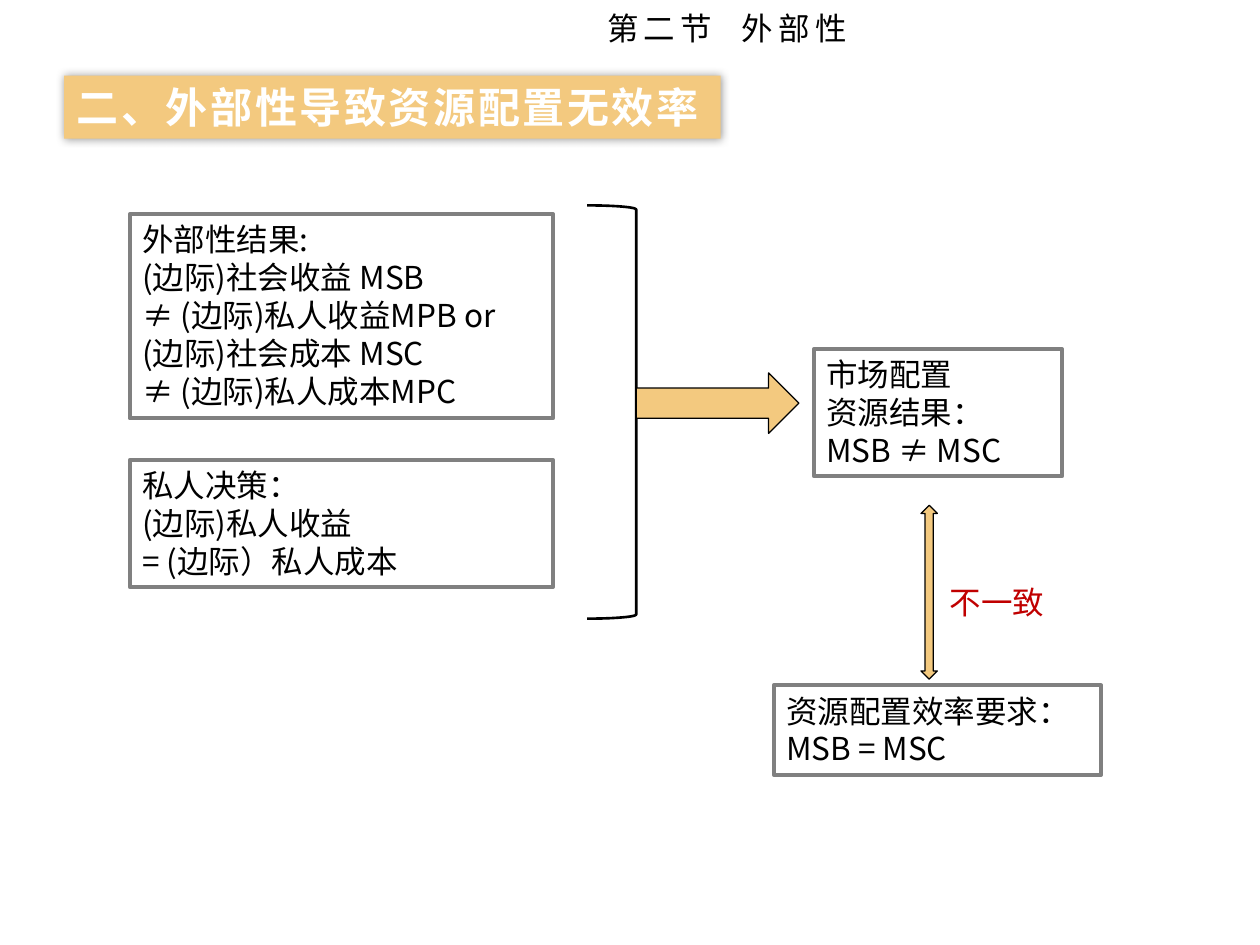
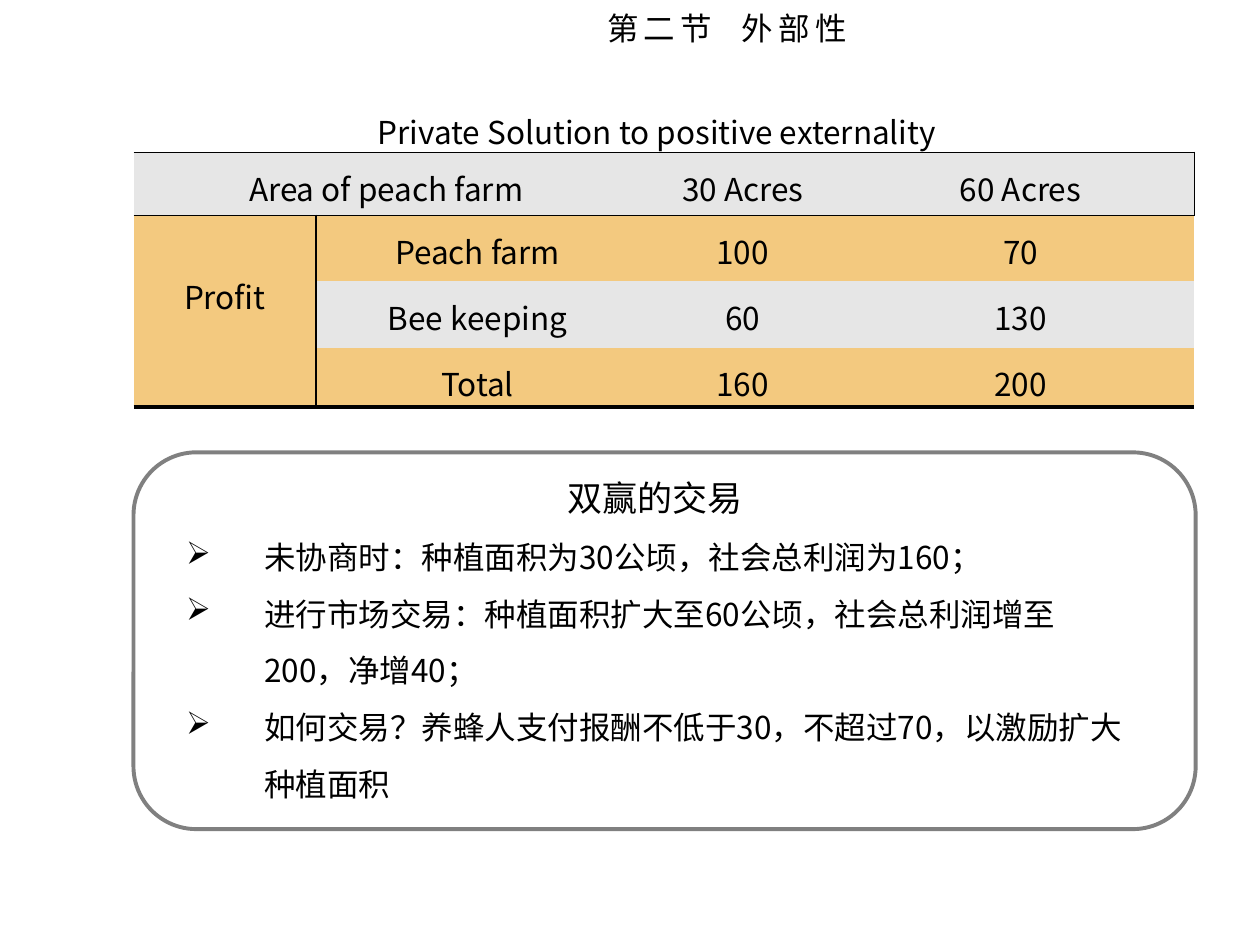
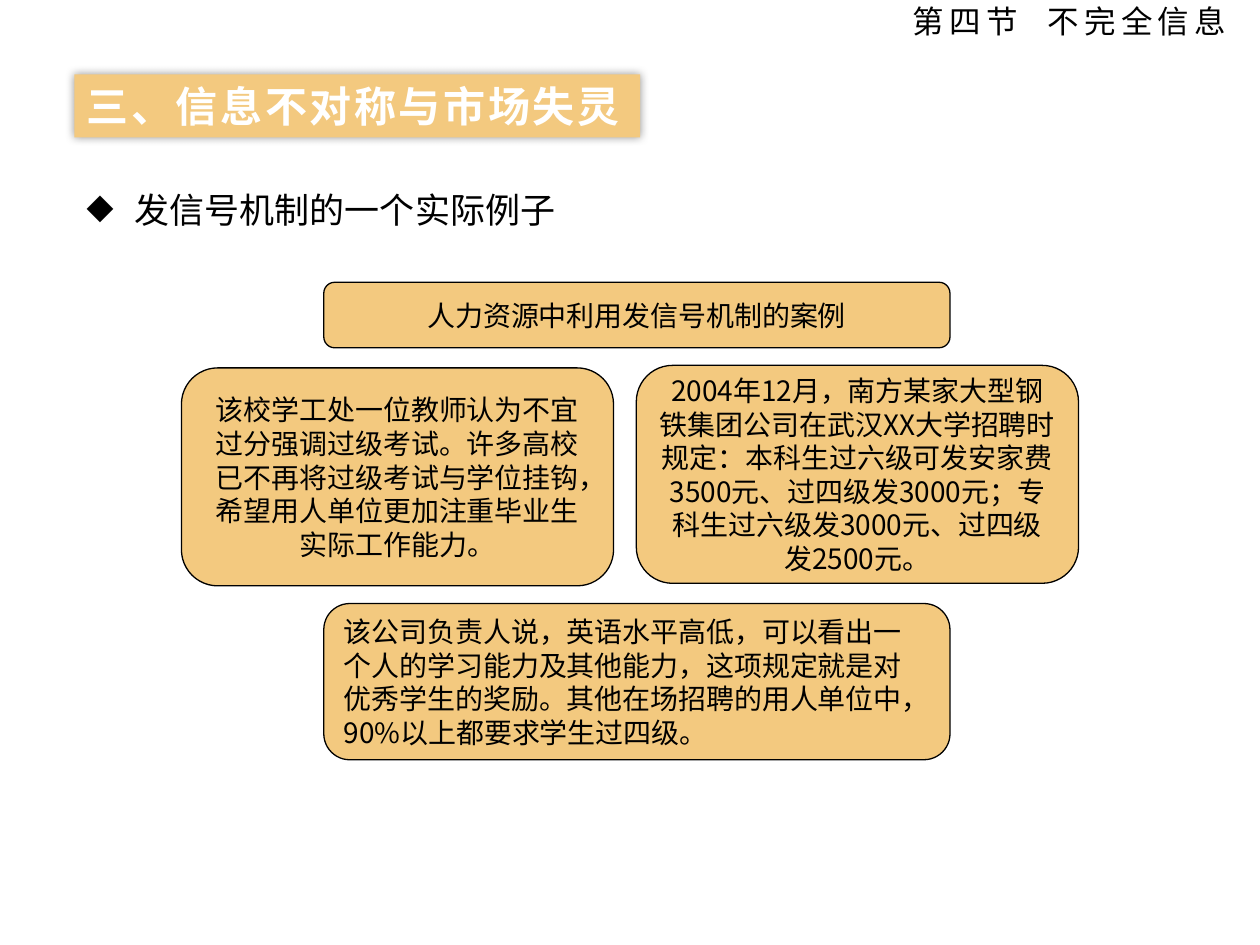
from dataclasses import dataclass
from typing import Optional

from lxml import etree
from pptx import Presentation
from pptx import util as u
from pptx.dml.color import RGBColor
from pptx.enum import shapes, text
from pptx.oxml.ns import qn

# Shared look
FONT = "Noto Sans CJK SC"
BLACK = RGBColor(0x00, 0x00, 0x00)
WHITE = RGBColor(0xFF, 0xFF, 0xFF)
GOLD = RGBColor(0xF3, 0xC9, 0x7F)
GREY = RGBColor(0x80, 0x80, 0x80)
PALE = RGBColor(0xE6, 0xE6, 0xE6)
RED = RGBColor(0xC0, 0x00, 0x00)
KIND = shapes.MSO_SHAPE
ALIGN = text.PP_ALIGN
ANCHOR = text.MSO_ANCHOR

# The slide is a grid of 100 columns by 75 rows
COLS, ROWS = 100, 75
UNIT = u.Inches(0.1)


def grid(count: float) -> int:
    return round(count * UNIT)


@dataclass(frozen=True)
class Area:
    col: float
    row: float
    wide: float
    tall: float

    def spans(self) -> list[int]:
        return [grid(n) for n in (self.col, self.row, self.wide, self.tall)]


@dataclass(frozen=True)
class Type:
    size: float = 18
    color: RGBColor = BLACK
    bold: bool = False
    space: float = 0
    align: ALIGN = ALIGN.LEFT


@dataclass(frozen=True)
class Paint:
    fill: Optional[RGBColor] = None
    line: Optional[RGBColor] = BLACK
    width: float = 0.75


@dataclass(frozen=True)
class Block:
    area: Area
    words: str = ""
    kind: KIND = KIND.RECTANGLE
    paint: Paint = Paint(GOLD)
    style: Type = Type()
    anchor: ANCHOR = ANCHOR.MIDDLE


BODY = Type()
FRAME = Paint(line=GREY, width=2.25)
BAND = Type(24, WHITE, bold=True, space=1.5)
HEAD = Type(space=3)


# Text helpers
def dress(run, style: Type) -> None:
    font = run.font
    font.size, font.bold, font.name = u.Pt(style.size), style.bold, FONT
    font.color.rgb = style.color
    props = run._r.get_or_add_rPr()
    etree.SubElement(props, qn("a:ea"), typeface=FONT)
    if style.space:
        props.set("spc", str(round(style.space * 100)))


def write(frame, words: str, style: Type) -> None:
    frame.text = words
    for para in frame.paragraphs:
        para.alignment = style.align
        for run in para.runs:
            dress(run, style)


def bullet(para, mark: str, hang: float) -> None:
    props = para._p.get_or_add_pPr()
    props.set("marL", str(grid(hang)))
    props.set("indent", str(-grid(hang)))
    etree.SubElement(props, qn("a:buChar"), char=mark)


def label(slide, area: Area, words: str, style: Type):
    frame = slide.shapes.add_textbox(*area.spans()).text_frame
    frame.word_wrap = True
    write(frame, words, style)
    return frame


# Shape helpers
def draw(slide, block: Block):
    shape = slide.shapes.add_shape(block.kind, *block.area.spans())
    shape.shadow.inherit = False
    paint = block.paint
    if paint.fill is None:
        shape.fill.background()
    else:
        shape.fill.solid()
        shape.fill.fore_color.rgb = paint.fill
    if paint.line is None:
        shape.line.fill.background()
    else:
        shape.line.color.rgb = paint.line
        shape.line.width = u.Pt(paint.width)
    if block.words:
        frame = shape.text_frame
        frame.word_wrap = True
        frame.vertical_anchor = block.anchor
        write(frame, block.words, block.style)
    return shape


def band(slide, area: Area, words: str) -> None:
    shape = draw(slide, Block(area, words, paint=Paint(GOLD, None),
                              style=BAND, anchor=ANCHOR.TOP))
    shape.text_frame.word_wrap = False
    glow = shape._element.spPr.find(qn("a:effectLst"))
    shade = etree.SubElement(glow, qn("a:outerShdw"),
                             blurRad=str(u.Pt(5)), dist="0", dir="0")
    tint = etree.SubElement(shade, qn("a:srgbClr"), val=str(BLACK))
    etree.SubElement(tint, qn("a:alpha"), val="40000")


def header(slide, area: Area, part: str, topic: str, align: ALIGN) -> None:
    frame = label(slide, area, part, HEAD)
    frame.vertical_anchor = ANCHOR.MIDDLE
    para = frame.paragraphs[0]
    para.alignment = align
    for words, style in ((" ", Type(space=10)), (topic, HEAD)):
        run = para.add_run()
        run.text = words
        dress(run, style)


def section(slide) -> None:
    header(slide, Area(47.2, 1, 46, 2.4), "第二节", "外部性", ALIGN.LEFT)


# Slide 1: why the market outcome is not efficient
def cause(slide) -> None:
    notes = (
        (Area(10.3, 17, 33.6, 16.2),
         "外部性结果:\n(边际)社会收益 MSB\n≠ (边际)私人收益MPB or\n"
         "(边际)社会成本 MSC\n≠ (边际)私人成本MPC"),
        (Area(10.3, 36.5, 33.6, 10.1),
         "私人决策：\n(边际)私人收益\n= (边际）私人成本"),
        (Area(64.6, 27.7, 19.7, 10.1), "市场配置\n资源结果：\nMSB ≠ MSC"),
        (Area(61.4, 54.4, 26, 7.1), "资源配置效率要求：MSB = MSC"),
    )
    for area, words in notes:
        draw(slide, Block(area, words, paint=FRAME, anchor=ANCHOR.TOP))

    # Bracket and arrows
    draw(slide, Block(Area(46.6, 16.3, 3.9, 32.8), kind=KIND.RIGHT_BRACKET,
                      paint=Paint(width=1.5)))
    draw(slide, Block(Area(50.5, 29.6, 12.9, 4.8), kind=KIND.RIGHT_ARROW))
    draw(slide, Block(Area(73.1, 40.1, 1.3, 13.8), kind=KIND.UP_DOWN_ARROW))
    label(slide, Area(74.4, 45.8, 21.3, 4), "不一致", Type(color=RED))

    band(slide, Area(5.1, 6, 52.1, 5), "二、外部性导致资源配置无效率")
    section(slide)


# Slide 2: profit table and the trade
WIDTHS = (14.5, 25.6, 16.5, 27.6)
HEIGHTS = (3.5, 5, 5.2, 5.3, 4.7)
PROFITS = (
    ("Private Solution to positive externality", "", "", ""),
    ("Area of peach farm", "", "30 Acres", "60 Acres"),
    ("Profit", "Peach farm", "100", "70"),
    ("", "Bee keeping", "60", "130"),
    ("", "Total", "160", "200"),
)
THIN, THICK = 1, 2.25


def edges(row: int, col: int) -> dict[str, float]:
    last = row == 4 or (row, col) == (2, 0)
    return {
        "L": THIN if row > 1 and col == 1 else 0,
        "R": THIN if (row > 1 and col == 0) or (row, col) == (1, 3) else 0,
        "T": THIN if row in (1, 2) else 0,
        "B": THICK if last else THIN if row < 2 else 0,
    }


def rule(cell, side: str, width: float) -> None:
    props = cell._tc.get_or_add_tcPr()
    line = etree.SubElement(props, qn(f"a:ln{side}"), w=str(u.Pt(width)))
    if width:
        fill = etree.SubElement(line, qn("a:solidFill"))
        etree.SubElement(fill, qn("a:srgbClr"), val=str(BLACK))
    else:
        etree.SubElement(line, qn("a:noFill"))


def shade(row: int, col: int) -> RGBColor:
    if row == 0:
        return WHITE
    return GOLD if row % 2 == 0 or (row > 1 and col == 0) else PALE


def profit(slide) -> None:
    area = Area(10.6, 7.6, sum(WIDTHS), sum(HEIGHTS))
    table = slide.shapes.add_table(len(HEIGHTS), len(WIDTHS),
                                   *area.spans()).table
    table.first_row = table.horz_banding = False
    for col, wide in zip(table.columns, WIDTHS):
        col.width = grid(wide)
    for row, tall in zip(table.rows, HEIGHTS):
        row.height = grid(tall)
    for start, end in (((0, 0), (0, 3)), ((1, 0), (1, 1)), ((2, 0), (4, 0))):
        table.cell(*start).merge(table.cell(*end))

    for r, line in enumerate(PROFITS):
        for c, words in enumerate(line):
            cell = table.cell(r, c)
            for side, width in edges(r, c).items():
                rule(cell, side, width)
            cell.fill.solid()
            cell.fill.fore_color.rgb = shade(r, c)
            if words:
                cell.margin_top = grid(1)
                write(cell.text_frame, words, Type(align=ALIGN.CENTER))
    table.cell(0, 0).margin_right = grid(2.1)
    table.cell(2, 0).margin_top = grid(4.6)


def trade(slide) -> None:
    draw(slide, Block(Area(10.6, 35.9, 84.3, 29.9),
                      kind=KIND.ROUNDED_RECTANGLE, paint=FRAME))
    profit(slide)
    frame = label(
        slide, Area(13.8, 36.7, 76.4, 27.3),
        "双赢的交易\n"
        "未协商时：种植面积为30公顷，社会总利润为160；\n"
        "进行市场交易：种植面积扩大至60公顷，社会总利润增至200，净增40；\n"
        "如何交易？养蜂人支付报酬不低于30，不超过70，以激励扩大种植面积",
        BODY)
    title, *points = frame.paragraphs
    title.alignment = ALIGN.CENTER
    title.line_spacing = u.Pt(28.8)
    title.runs[0].font.size = u.Pt(20)
    for point in points:
        bullet(point, "➢", 6.2)
        point.line_spacing = 1.5
    section(slide)


# Slide 3: a signalling case
def signal(slide) -> None:
    band(slide, Area(5.9, 5.9, 44.9, 5), "三、信息不对称与市场失灵")
    cases = (
        (Area(25.7, 22.4, 49.7, 5.2), ALIGN.CENTER,
         "人力资源中利用发信号机制的案例"),
        (Area(14.4, 29.2, 34.3, 17.3), ALIGN.CENTER,
         "该校学工处一位教师认为不宜过分强调过级考试。许多高校已不再将过级"
         "考试与学位挂钩，希望用人单位更加注重毕业生实际工作能力。"),
        (Area(50.5, 29, 35.1, 17.3), ALIGN.CENTER,
         "2004年12月，南方某家大型钢铁集团公司在武汉XX大学招聘时规定："
         "本科生过六级可发安家费3500元、过四级发3000元；"
         "专科生过六级发3000元、过四级发2500元。"),
        (Area(25.7, 47.9, 49.7, 12.4), ALIGN.LEFT,
         "该公司负责人说，英语水平高低，可以看出一个人的学习能力及其他能力，"
         "这项规定就是对优秀学生的奖励。其他在场招聘的用人单位中，"
         "90%以上都要求学生过四级。"),
    )
    for area, align, words in cases:
        draw(slide, Block(area, words, KIND.ROUNDED_RECTANGLE,
                          style=Type(16, align=align)))
    frame = label(slide, Area(5.9, 14.5, 94, 7.9),
                  "发信号机制的一个实际例子", Type(20))
    bullet(frame.paragraphs[0], "◆", 3.8)
    header(slide, Area(8.3, 0.5, 90, 2.4), "第四节", "不完全信息", ALIGN.RIGHT)


def main() -> None:
    deck = Presentation()
    deck.slide_width, deck.slide_height = grid(COLS), grid(ROWS)
    for build in (cause, trade, signal):
        build(deck.slides.add_slide(deck.slide_layouts[6]))
    deck.save("out.pptx")


if __name__ == "__main__":
    main()
